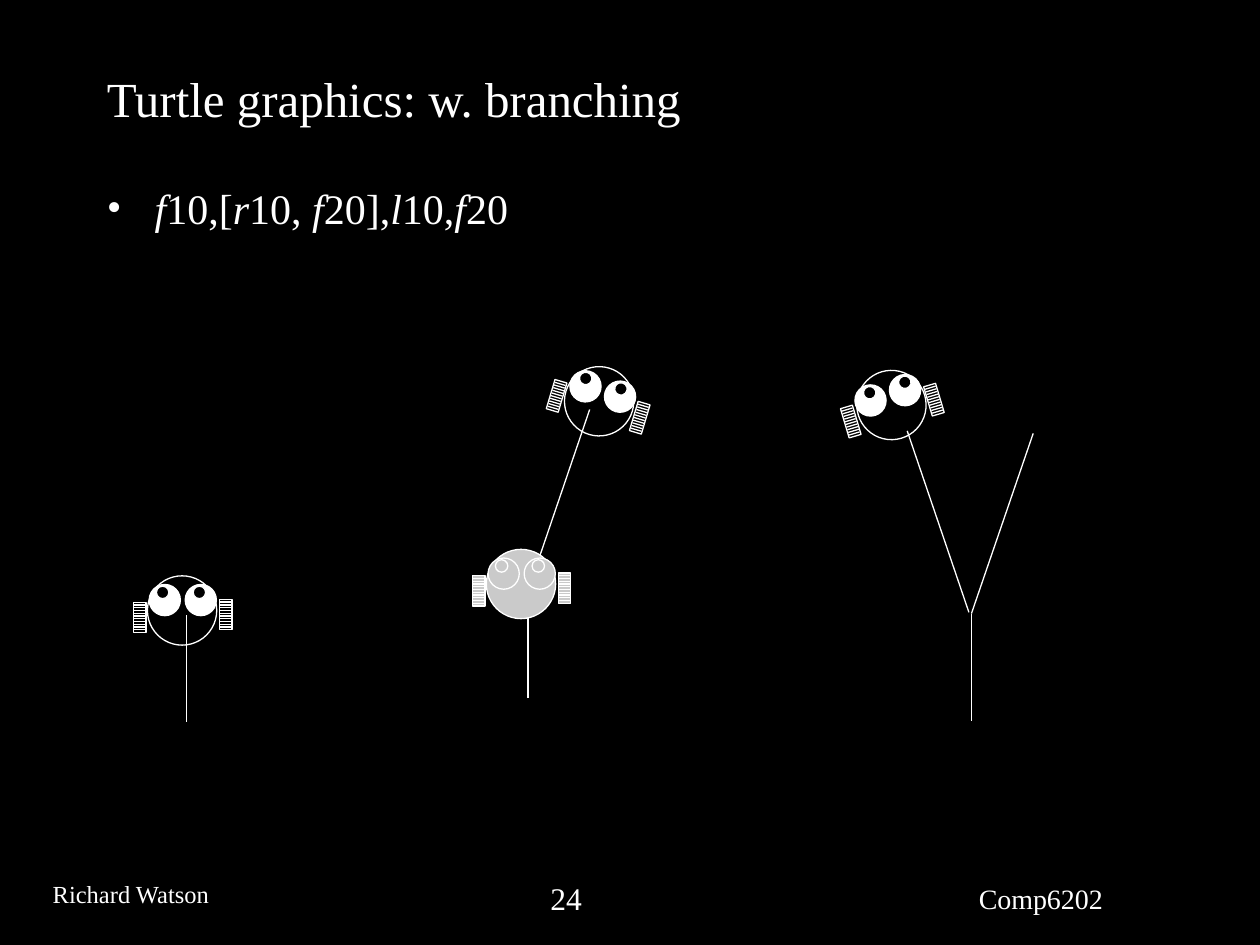
from math import cos, radians, sin

from lxml import etree
from pptx import Presentation
from pptx.dml.color import RGBColor
from pptx.enum.shapes import MSO_CONNECTOR, MSO_SHAPE
from pptx.enum.text import MSO_ANCHOR
from pptx.oxml.ns import qn
from pptx.util import Inches, Pt

LINE = MSO_CONNECTOR.STRAIGHT
OVAL, RECT = MSO_SHAPE.OVAL, MSO_SHAPE.RECTANGLE
TOP, MIDDLE = MSO_ANCHOR.TOP, MSO_ANCHOR.MIDDLE
BLACK = RGBColor(0x00, 0x00, 0x00)
WHITE = RGBColor(0xFF, 0xFF, 0xFF)
GREY = RGBColor(0xCA, 0xCA, 0xCA)
FONT = "Times New Roman"
COLUMNS, ROWS = 100, 75
CELL = Inches(10) / COLUMNS
STROKE = Pt(0.75)

EYES = [(-0.25, -0.15), (0.27, -0.15)]
PUPILS = [(-0.28, -0.26), (0.25, -0.26)]
WHEELS = [(-0.61, 0.1), (0.63, 0.06)]
EYE, PUPIL, WHEEL = (0.45, 0.45), (0.18, 0.18), (0.18, 0.44)
RUNGS, RUNG_GAP = 10, 0.04


def cells(*counts):
    """Turn counts of grid cells into lengths."""
    return [round(count * CELL) for count in counts]


def add_text(page, box, spans, size, anchor=TOP):
    """Place one paragraph of (text, italic) spans in the box and return it."""
    frame = page.shapes.add_textbox(*cells(*box)).text_frame
    frame.word_wrap = True
    frame.vertical_anchor = anchor
    para = frame.paragraphs[0]
    for text, italic in spans:
        span = para.add_run()
        span.text = text
        span.font.name = FONT
        span.font.size = Pt(size)
        span.font.italic = italic
        span.font.color.rgb = WHITE
    return para


def add_bullet(para, indent):
    """Give the paragraph a white bullet with a hanging indent."""
    props = para._p.get_or_add_pPr()
    props.set("marL", str(indent))
    props.set("indent", str(-indent))
    colour = etree.SubElement(props, qn("a:buClr"))
    etree.SubElement(colour, qn("a:srgbClr")).set("val", str(WHITE))
    etree.SubElement(props, qn("a:buFont")).set("typeface", FONT)
    etree.SubElement(props, qn("a:buChar")).set("char", "•")


def add_line(shapes, start, end):
    """Draw a thin white line between two grid points."""
    line = shapes.add_connector(LINE, *cells(*start, *end))
    line.line.color.rgb = WHITE
    line.line.width = STROKE
    etree.SubElement(line._element.spPr, qn("a:effectLst"))


def add_turtle(page, box, angle=0, mirror=1, tint=None):
    """Draw a turtle whose body fills the box, turned and perhaps mirrored."""
    left, top, size = box
    turn = radians(angle)
    shapes = page.shapes.add_group_shape().shapes

    def place(x, y):
        """Map a share of the body, measured from its centre, to the grid."""
        x *= mirror
        return (left + size * (0.5 + x * cos(turn) - y * sin(turn)),
                top + size * (0.5 + x * sin(turn) + y * cos(turn)))

    def add_part(kind, centre, extent, fill):
        """Add one outlined part around its centre."""
        x, y = place(*centre)
        width, height = (size * share for share in extent)
        part = shapes.add_shape(
            kind, *cells(x - width / 2, y - height / 2, width, height))
        part.rotation = angle
        part.shadow.inherit = False
        part.line.color.rgb = WHITE
        part.line.width = STROKE
        if fill is None:
            part.fill.background()
        else:
            part.fill.solid()
            part.fill.fore_color.rgb = fill

    add_part(OVAL, (0, 0), (1, 1), tint)
    for eye, pupil in zip(EYES, PUPILS):
        add_part(OVAL, eye, EYE, tint or WHITE)
        add_part(OVAL, pupil, PUPIL, tint or BLACK)
    for x, y in WHEELS:
        add_part(RECT, (x, y), WHEEL, tint)
        for index in range(RUNGS):
            level = y - 0.18 + index * RUNG_GAP
            add_line(shapes, place(x - 0.08, level), place(x + 0.08, level))


def add_heading(page, box):
    """Place the title and the turtle program below it."""
    left, top, width, height = box
    add_text(page, (left, top, width, 7.3),
             [("Turtle graphics: w. branching", False)], 28, MIDDLE)
    program = [("f", True), ("10,[", False), ("r", True), ("10, ", False),
               ("f", True), ("20],", False), ("l", True), ("10,", False),
               ("f", True), ("20", False)]
    para = add_text(page, (left, top + 9.9, width, height - 9.9), program, 24)
    para.space_before = Pt(6)
    add_bullet(para, cells(3.8)[0])


def add_footer(page, box):
    """Place author, page number and course along the footer."""
    left, top, height = box
    for offset, width, text, size in [(0, 15, "Richard Watson", 14),
                                      (39.5, 12.4, "24", 18),
                                      (73.5, 25, "Comp6202", 16)]:
        shift = 0.2 if size == 16 else 0
        add_text(page, (left + offset, top + shift, width, height),
                 [(text, False)], size)


def add_start(page, box):
    """Show the turtle after its first step."""
    left, top = box
    add_turtle(page, (left, top, 5.5))
    add_line(page.shapes, (left + 3.1, top + 11.6), (left + 3.1, top + 3.1))


def add_right_branch(page, box):
    """Show the right branch with a grey turtle waiting at the fork."""
    left, top = box
    fork = (left + 3.3, top + 17.8)
    add_turtle(page, (left + 6.2, top, 5.5), 16.6)
    add_line(page.shapes, (fork[0], fork[1] + 8.5), fork)
    add_line(page.shapes, fork, (fork[0] + 4.9, fork[1] - 14.4))
    add_turtle(page, (left, top + 14.5, 5.5), tint=GREY)


def add_left_branch(page, box):
    """Show both branches with the turtle at the end of the left one."""
    left, top = box
    fork = (left + 9.1, top + 19.3)
    add_turtle(page, (left, top, 5.5), -16.6, -1)
    add_line(page.shapes, (fork[0], fork[1] + 8.5), fork)
    add_line(page.shapes, fork, (fork[0] + 4.9, fork[1] - 14.3))
    add_line(page.shapes, (fork[0] - 0.2, fork[1] - 0.1),
             (fork[0] - 5.1, fork[1] - 14.5))


def main():
    """Build and save the deck."""
    deck = Presentation()
    deck.slide_width, deck.slide_height = cells(COLUMNS, ROWS)
    page = deck.slides.add_slide(deck.slide_layouts[6])
    page.background.fill.solid()
    page.background.fill.fore_color.rgb = BLACK
    add_footer(page, (3.2, 69.3, 4))
    add_heading(page, (7.5, 4.1, 85, 65.1))
    add_start(page, (11.7, 45.7))
    add_right_branch(page, (38.6, 29.1))
    add_left_branch(page, (68, 29.4))
    deck.save("out.pptx")


if __name__ == "__main__":
    main()
